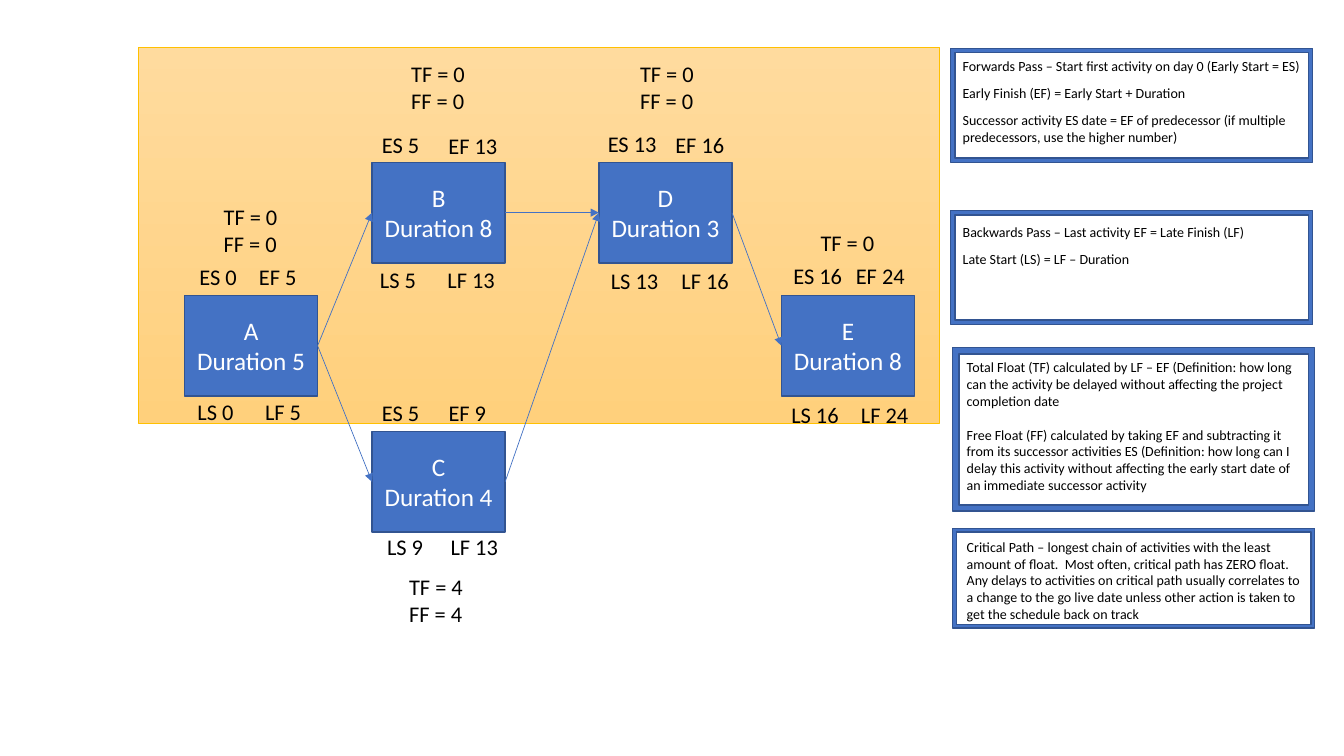
from dataclasses import dataclass

from lxml import etree
from pptx import Presentation
from pptx.dml.color import RGBColor
from pptx.enum.shapes import MSO_CONNECTOR, MSO_SHAPE
from pptx.enum.text import MSO_ANCHOR, MSO_AUTO_SIZE, PP_ALIGN
from pptx.oxml.ns import qn
from pptx.util import Inches, Pt

STRAIGHT = MSO_CONNECTOR.STRAIGHT
RECTANGLE, FRAME = MSO_SHAPE.RECTANGLE, MSO_SHAPE.FRAME
MIDDLE = MSO_ANCHOR.MIDDLE
FIT_SHAPE = MSO_AUTO_SIZE.SHAPE_TO_FIT_TEXT
LEFT, CENTER = PP_ALIGN.LEFT, PP_ALIGN.CENTER
LEFT_SIDE, RIGHT_SIDE = 1, 3


@dataclass(frozen=True)
class Theme:
    font: str = "Calibri"
    activity_size: int = 18
    label_size: int = 16
    note_size: int = 10
    blue: RGBColor = RGBColor(0x44, 0x72, 0xC4)
    outline: RGBColor = RGBColor(0x32, 0x54, 0x91)
    gold: RGBColor = RGBColor(0xFF, 0xC0, 0x00)
    panel_top: RGBColor = RGBColor(0xFF, 0xDB, 0x9E)
    panel_bottom: RGBColor = RGBColor(0xFF, 0xD0, 0x7C)
    black: RGBColor = RGBColor(0, 0, 0)
    white: RGBColor = RGBColor(0xFF, 0xFF, 0xFF)


class NetworkSlide:
    """Draws the parts of an activity network on one slide."""

    def __init__(self, slide, theme):
        self.shapes = slide.shapes
        self.theme = theme

    def _write(self, frame, lines, size, color, align=LEFT, gap=0):
        """Put one paragraph per line, with gap points between them."""
        frame.word_wrap = True
        for index, line in enumerate(lines):
            paragraph = frame.paragraphs[0] if index == 0 else frame.add_paragraph()
            paragraph.text = line
            paragraph.alignment = align
            if index and gap:
                paragraph.space_before = Pt(gap)
            paragraph.font.name = self.theme.font
            paragraph.font.size = Pt(size)
            paragraph.font.color.rgb = color

    def _shape(self, preset, box, line_color, line_width):
        shape = self.shapes.add_shape(preset, *map(Inches, box))
        shape.shadow.inherit = False
        shape.fill.solid()
        shape.fill.fore_color.rgb = self.theme.blue
        shape.line.color.rgb = line_color
        shape.line.width = Pt(line_width)
        return shape

    def critical_panel(self, *box):
        fill = self._shape(RECTANGLE, box, self.theme.gold, 0.5).fill
        fill.gradient()
        fill.gradient_angle = 270
        colors = (self.theme.panel_top, self.theme.panel_bottom)
        for stop, position, color in zip(fill.gradient_stops, (0, 1), colors):
            stop.position = position
            stop.color.rgb = color

    def activity(self, name, duration, left, top):
        block = self._shape(RECTANGLE, (left, top, 1.32, 1), self.theme.outline, 1)
        block.text_frame.vertical_anchor = MIDDLE
        self._write(block.text_frame, (name, f"Duration {duration}"),
                    self.theme.activity_size, self.theme.white, CENTER)
        return block

    def dependency(self, predecessor, successor):
        arrow = self.shapes.add_connector(STRAIGHT, 0, 0, 0, 0)
        arrow.begin_connect(predecessor, RIGHT_SIDE)
        arrow.end_connect(successor, LEFT_SIDE)
        arrow.line.color.rgb = self.theme.blue
        arrow.line.width = Pt(0.5)
        etree.SubElement(arrow.line._get_or_add_ln(), qn("a:tailEnd"), type="triangle")
        etree.SubElement(arrow._element.spPr, qn("a:effectLst"))

    def text(self, lines, size, box, gap=0):
        frame = self.shapes.add_textbox(*map(Inches, box)).text_frame
        frame.auto_size = FIT_SHAPE
        self._write(frame, lines, size, self.theme.black, gap=gap)

    def label(self, lines, left, top, width):
        height = 0.37 + 0.27 * (len(lines) - 1)
        self.text(lines, self.theme.label_size, (left, top, width, height))

    def note(self, lines, left, top, height, gap=0):
        self.text(lines, self.theme.note_size, (left, top, 3.57, height), gap)

    def note_frame(self, left, top, height):
        border = self._shape(FRAME, (left, top, 3.59, height), self.theme.outline, 1)
        border.adjustments[0] = 0.038


ACTIVITIES = {
    "A": (5, 1.83, 2.93),
    "B": (8, 3.69, 1.61),
    "C": (4, 3.69, 4.28),
    "D": (3, 5.94, 1.61),
    "E": (8, 7.75, 2.93),
}
DEPENDENCIES = ("AB", "AC", "BD", "CD", "DE")

# Label text, left, top, width
DATES = (
    ("ES 0", 1.88, 2.56, 0.59), ("EF 5", 2.47, 2.56, 0.6),
    ("LS 0", 1.86, 3.9, 0.59), ("LF 5", 2.53, 3.9, 0.59),
    ("ES 5", 3.69, 1.25, 0.67), ("EF 13", 4.35, 1.26, 0.87),
    ("LS 5", 3.67, 2.59, 0.67), ("LF 13", 4.34, 2.59, 0.73),
    ("ES 5", 3.69, 3.91, 0.68), ("EF 9", 4.35, 3.91, 0.68),
    ("LS 9", 3.74, 5.24, 0.62), ("LF 13", 4.37, 5.24, 0.78),
    ("ES 13", 5.93, 1.24, 0.74), ("EF 16", 6.6, 1.25, 0.81),
    ("LS 13", 5.96, 2.6, 0.69), ("LF 16", 6.66, 2.6, 0.71),
    ("ES 16", 7.77, 2.55, 0.78), ("EF 24", 8.39, 2.55, 0.78),
    ("LS 16", 7.75, 3.93, 0.72), ("LF 24", 8.44, 3.93, 0.72),
)
# Float lines, left, top
FLOATS = (
    (("TF = 0", "FF = 0"), 2.12, 1.97),
    (("TF = 0", "FF = 0"), 3.98, 0.55),
    (("TF = 4", "FF = 4"), 3.96, 5.64),
    (("TF = 0", "FF = 0"), 6.25, 0.55),
    (("TF = 0",), 8.04, 2.22),
)
# Paragraphs, left, top, height
NOTES = (
    (("Forwards Pass – Start first activity on day 0 (Early Start = ES)",), 9.45, 0.52, 0.27),
    (("Early Finish (EF) = Early Start + Duration",), 9.45, 0.79, 0.27),
    (("Successor activity ES date = EF of predecessor (if multiple predecessors, "
      "use the higher number)",), 9.45, 1.06, 0.44),
    (("Backwards Pass – Last activity EF = Late Finish (LF)",), 9.45, 2.17, 0.27),
    (("Late Start (LS) = LF – Duration",), 9.45, 2.44, 0.27),
    (("Total Float (TF) calculated by LF – EF (Definition: how long can the activity "
      "be delayed without affecting the project completion date",
      "Free Float (FF) calculated by taking EF and subtracting it from its successor "
      "activities ES (Definition: how long can I delay this activity without affecting "
      "the early start date of an immediate successor activity"), 9.49, 3.51, 1.62),
    (("Critical Path – longest chain of activities with the least amount of float.  "
      "Most often, critical path has ZERO float.  Any delays to activities on critical "
      "path usually correlates to a change to the go live date unless other action is "
      "taken to get the schedule back on track",), 9.49, 5.29, 0.94),
)
NOTE_FRAMES = ((9.43, 0.48, 1.13), (9.43, 2.09, 1.13), (9.45, 3.45, 1.62), (9.45, 5.24, 0.99))


def main():
    deck = Presentation()
    deck.slide_width, deck.slide_height = Inches(13.33), Inches(7.5)
    network = NetworkSlide(deck.slides.add_slide(deck.slide_layouts[6]), Theme())

    network.critical_panel(1.37, 0.47, 7.95, 3.73)
    blocks = {name: network.activity(name, *place) for name, place in ACTIVITIES.items()}
    for predecessor, successor in DEPENDENCIES:
        network.dependency(blocks[predecessor], blocks[successor])
    for date, left, top, width in DATES:
        network.label((date,), left, top, width)
    for lines, left, top in FLOATS:
        network.label(lines, left, top, 0.86)
    for lines, left, top, height in NOTES:
        network.note(lines, left, top, height, gap=12)
    for place in NOTE_FRAMES:
        network.note_frame(*place)

    deck.save("out.pptx")


if __name__ == "__main__":
    main()
